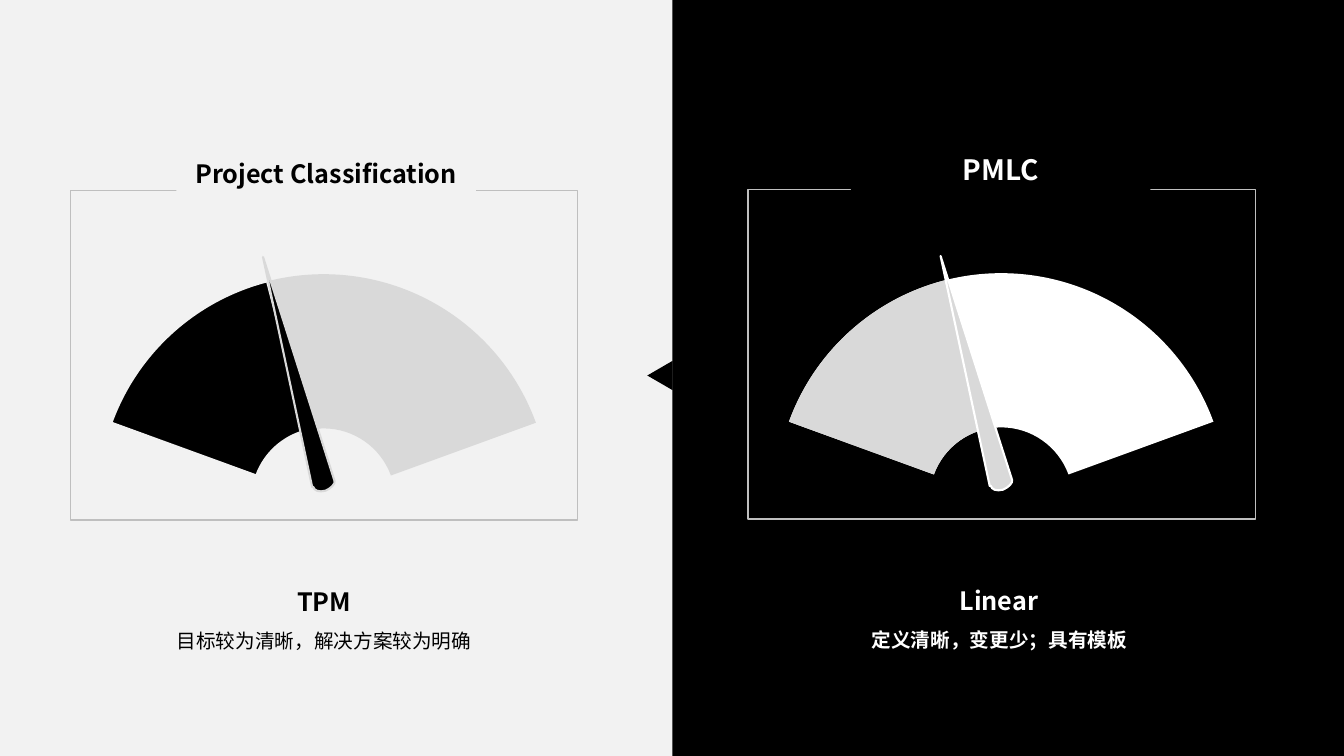
from math import cos, radians, sin, tan

from lxml.etree import SubElement
from pptx import Presentation
from pptx.dml.color import RGBColor
from pptx.enum.shapes import MSO_SHAPE
from pptx.enum.text import MSO_ANCHOR, MSO_AUTO_SIZE, PP_ALIGN
from pptx.oxml.ns import qn
from pptx.util import Inches, Pt

BLACK = RGBColor(0x00, 0x00, 0x00)
WHITE = RGBColor(0xFF, 0xFF, 0xFF)
PALE = RGBColor(0xF2, 0xF2, 0xF2)
SILVER = RGBColor(0xD9, 0xD9, 0xD9)
BORDER = RGBColor(0xBF, 0xBF, 0xBF)
FONT = "Noto Sans CJK SC"
OUTER_RADIUS, INNER_RADIUS = 2.24, 0.71
NEEDLE_TIP = (0, -1.2)
NEEDLE_SIDES = [
    [(0.11, 1.13)],
    [(0.11, 1.16), (0.06, 1.19), (0, 1.2)],
    [(-0.07, 1.2), (-0.11, 1.17), (-0.11, 1.13)],
    [(-0.12, 1.13)],
]


def paint(shape, fill, line=None, width=1):
    shape.shadow.inherit = False
    shape.fill.solid()
    shape.fill.fore_color.rgb = fill
    if line is None:
        shape.line.fill.background()
    else:
        shape.line.color.rgb = line
        shape.line.width = Pt(width)


def place(shape, left, top, width, height):
    box = {"left": left, "top": top, "width": width, "height": height}
    for side, length in box.items():
        setattr(shape, side, Inches(length))


def add_outline(slide, centre, start, segments, **look):
    def to_slide(point):
        return Inches(centre[0] + point[0]), Inches(centre[1] + point[1])

    builder = slide.shapes.build_freeform(*to_slide(start))
    builder.add_line_segments([to_slide(p) for s in segments for p in s], close=True)
    outline = builder.convert_to_shape()
    route = next(outline.element.iter(qn("a:path")))
    steps = iter(route.findall(qn("a:lnTo")))
    for segment in segments:
        if len(segment) == 1:
            route.append(next(steps))
            continue
        curve = SubElement(route, qn("a:cubicBezTo"))
        for _ in segment:
            step = next(steps)
            curve.append(step[0])
            route.remove(step)
    route.append(route.find(qn("a:close")))
    paint(outline, **look)
    return outline


def on_circle(radius, angle):
    return radius * cos(radians(angle)), -radius * sin(radians(angle))


def arc(radius, first, last):
    reach = 4 / 3 * tan(radians(last - first) / 4)
    (x1, y1), (x2, y2) = on_circle(radius, first), on_circle(radius, last)
    return [(x1 + reach * y1, y1 - reach * x1), (x2 - reach * y2, y2 + reach * x2), (x2, y2)]


def add_sector(slide, centre, angles, **look):
    turns = list(zip(angles, angles[1:]))
    rim = [arc(OUTER_RADIUS, first, last) for first, last in turns]
    hub = [arc(INNER_RADIUS, last, first) for first, last in reversed(turns)]
    inward = [on_circle(INNER_RADIUS, angles[-1])]
    add_outline(slide, centre, on_circle(OUTER_RADIUS, angles[0]),
                rim + [inward] + hub, **look)


def write(placeholder, lines, colour, anchor, auto_size):
    placeholder.element.getparent().append(placeholder.element)
    frame = placeholder.text_frame
    frame_format = {"word_wrap": True, "vertical_anchor": anchor, "auto_size": auto_size}
    for name, value in frame_format.items():
        setattr(frame, name, value)
    for index, (text, size, bold) in enumerate(lines):
        paragraph = frame.add_paragraph() if index else frame.paragraphs[0]
        properties = paragraph._p.get_or_add_pPr()
        properties.set("marL", "0")
        properties.set("indent", "0")
        SubElement(properties, qn("a:buNone"))
        paragraph_format = {"alignment": PP_ALIGN.CENTER, "line_spacing": 1.5,
                            "space_before": Pt(0), "space_after": Pt(0)}
        for name, value in paragraph_format.items():
            setattr(paragraph, name, value)
        run = paragraph.add_run()
        run.text = text
        for name, value in {"size": Pt(size), "bold": bold, "name": FONT}.items():
            setattr(run.font, name, value)
        run.font.color.rgb = colour
        SubElement(run._r.get_or_add_rPr(), qn("a:ea"), typeface=FONT)


def add_gauge(slide, centre, low, high, needle_line, low_line):
    add_sector(slide, centre, [20, 90, 160], fill=high)
    add_sector(slide, centre, [104.5, 160], fill=low, line=low_line, width=1.5)
    pivot = (centre[0] - 0.29, centre[1] - 1.25)
    needle = add_outline(slide, pivot, NEEDLE_TIP, NEEDLE_SIDES,
                         fill=low, line=needle_line, width=1.5)
    needle.rotation = 345


def add_panel(slide, left, top, heading, caption, ground, ink, gauge, heading_offset):
    frame = slide.shapes.add_shape(MSO_SHAPE.RECTANGLE, Inches(left), Inches(top),
                                   Inches(5.03), Inches(3.27))
    paint(frame, ground, BORDER)
    heading_holder, heading_line = heading
    across, down = heading_offset
    place(heading_holder, left + across, top + down, 2.97, 0.98)
    heading_holder.fill.solid()
    heading_holder.fill.fore_color.rgb = ground
    write(heading_holder, [heading_line], ink, MSO_ANCHOR.MIDDLE, MSO_AUTO_SIZE.NONE)
    add_gauge(slide, (left + 2.51, top + 3.07), **gauge)
    caption_holder, caption_lines = caption
    place(caption_holder, left + 0.29, top + 3.73, 4.45, 0.87)
    write(caption_holder, caption_lines, ink, MSO_ANCHOR.TOP,
          MSO_AUTO_SIZE.SHAPE_TO_FIT_TEXT)


def add_backdrop(slide, left, width, height):
    slide.background.fill.solid()
    slide.background.fill.fore_color.rgb = PALE
    half = slide.shapes.add_shape(MSO_SHAPE.RECTANGLE, Inches(left), 0,
                                  Inches(width), Inches(height))
    paint(half, BLACK)
    pointer = slide.shapes.add_shape(MSO_SHAPE.ISOSCELES_TRIANGLE, Inches(left - 0.27),
                                     Inches(3.6), Inches(0.29), Inches(0.25))
    pointer.rotation = 270
    paint(pointer, BLACK)


def main():
    deck = Presentation()
    deck.slide_width, deck.slide_height = Inches(13.33), Inches(7.5)
    slide = deck.slides.add_slide(deck.slide_layouts.get_by_name("Comparison"))
    holders = {p.placeholder_format.idx: p for p in slide.placeholders}
    add_backdrop(slide, 6.67, 6.66, 7.5)
    add_panel(slide, 0.7, 1.89,
              heading=(holders[0], ("Project Classification", 18, True)),
              caption=(holders[2], [("TPM", 18, True),
                                    ("目标较为清晰，解决方案较为明确", 14, False)]),
              ground=PALE, ink=BLACK, heading_offset=(1.05, -0.73),
              gauge={"low": BLACK, "high": SILVER, "needle_line": SILVER, "low_line": PALE})
    add_panel(slide, 7.42, 1.88,
              heading=(holders[3], ("PMLC", 20, True)),
              caption=(holders[4], [("Linear ", 18, True),
                                    ("定义清晰，变更少；具有模板 ", 14, True)]),
              ground=BLACK, ink=WHITE, heading_offset=(1.02, -0.77),
              gauge={"low": SILVER, "high": WHITE, "needle_line": WHITE, "low_line": None})
    for holder in list(slide.placeholders):
        if not holder.text_frame.text:
            holder.element.getparent().remove(holder.element)
    deck.save("out.pptx")


if __name__ == "__main__":
    main()
